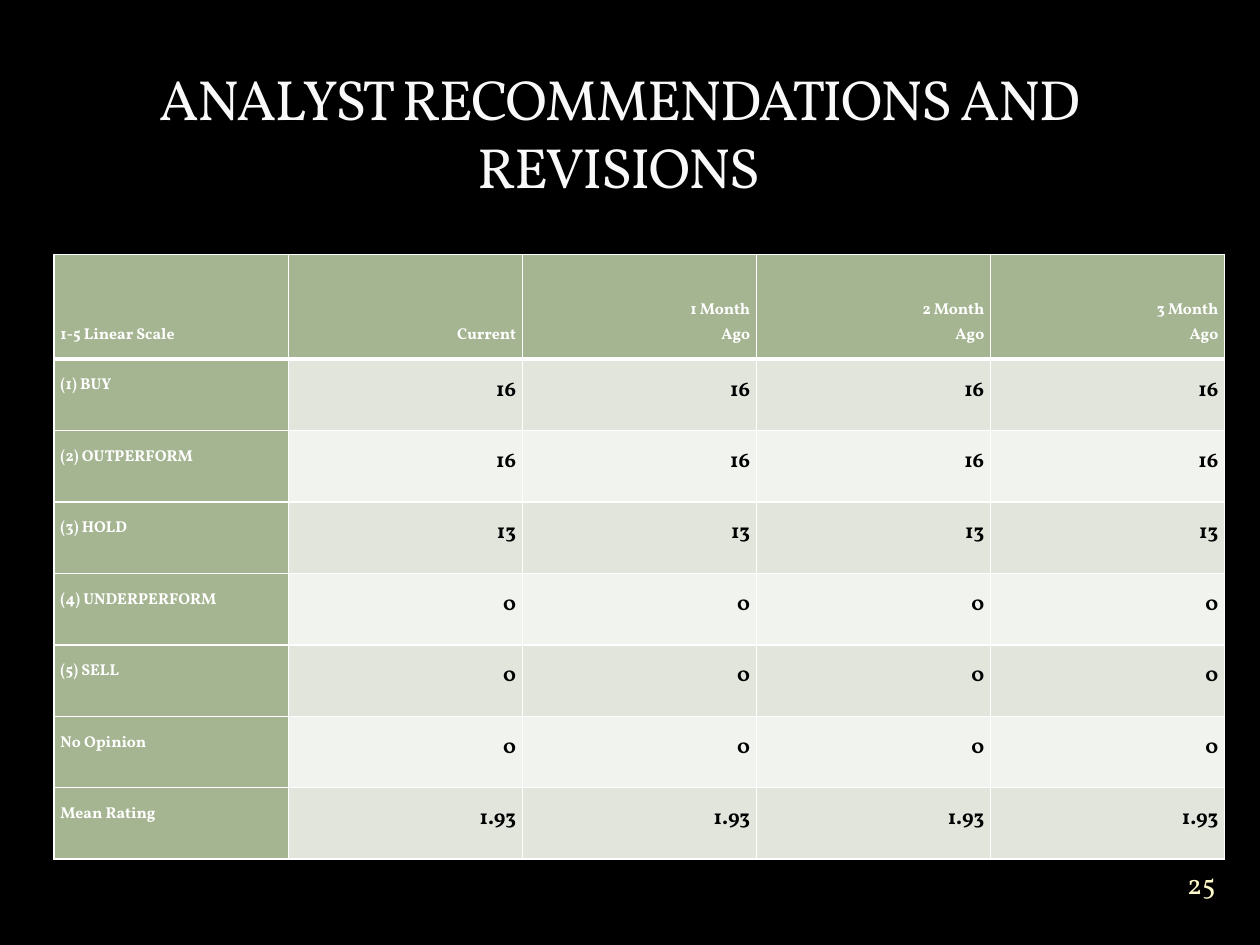
from dataclasses import dataclass

from lxml import etree
from pptx import Presentation
from pptx.dml.color import RGBColor
from pptx.enum.text import MSO_ANCHOR, PP_ALIGN
from pptx.oxml.ns import qn
from pptx.util import Inches, Pt

LEFT, CENTER, RIGHT = PP_ALIGN.LEFT, PP_ALIGN.CENTER, PP_ALIGN.RIGHT
TOP, MIDDLE, BOTTOM = MSO_ANCHOR.TOP, MSO_ANCHOR.MIDDLE, MSO_ANCHOR.BOTTOM
COLUMN_WIDTH, HEADER_HEIGHT, ROW_HEIGHT = 1.858, 0.83, 0.567
THIN, THICK = 1, 3


@dataclass(frozen=True)
class Theme:
    """Colours, font and type sizes of the slide."""
    font: str = "Vollkorn"
    background: str = "000000"
    title: str = "F9F9F9"
    number: str = "FEFAC9"
    label: str = "FFFFFF"
    value: str = "000000"
    border: str = "FFFFFF"
    header_fill: str = "A5B592"
    bands: tuple[str, str] = ("E1E5DC", "F0F3EE")
    title_size: float = 32.4
    number_size: float = 16
    label_size: float = 9
    value_size: float = 12


@dataclass(frozen=True)
class Rating:
    """One table row: a rating and its value in each period."""
    label: str
    value: str


@dataclass(frozen=True)
class Caption:
    """Text standing alone on the slide, with its box in inches."""
    text: str
    box: tuple[float, float, float, float]
    insets: tuple[float, float, float, float]
    anchor: MSO_ANCHOR
    size: float
    color: str
    spacing: int = 0


THEME = Theme()
PERIODS = ("Current", "1 Month\nAgo", "2 Month\nAgo", "3 Month\nAgo")
RATINGS = (
    Rating("(1)\u00a0BUY", "16"),
    Rating("(2)\u00a0OUTPERFORM", "16"),
    Rating("(3)\u00a0HOLD", "13"),
    Rating("(4)\u00a0UNDERPERFORM", "0"),
    Rating("(5)\u00a0SELL", "0"),
    Rating("No Opinion", "0"),
    Rating("Mean Rating", "1.93"),
)
CAPTIONS = (
    Caption("ANALYST RECOMMENDATIONS AND REVISIONS", (0.41, 1.01, 9, 1.17),
            (0.1, 0.05, 0.1, 0.59), BOTTOM, THEME.title_size, THEME.title, -100),
    Caption("25", (9.2, 6.76, 0.67, 0.5), (0, 0, 0, 0), MIDDLE,
            THEME.number_size, THEME.number),
)


def add_text(paragraph, text: str, size: float, color: str,
             bold: bool = False, spacing: int = 0) -> None:
    """Add a run for each line of the text, with breaks between them."""
    for index, line in enumerate(text.split("\n")):
        if index:
            paragraph.add_line_break()
        run = paragraph.add_run()
        run.text = line
        run.font.name, run.font.size, run.font.bold = THEME.font, Pt(size), bold
        run.font.color.rgb = RGBColor.from_string(color)
        if spacing:
            run.font._element.set("spc", str(spacing))


def add_caption(slide, caption: Caption) -> None:
    """Place a centred caption in its text box."""
    frame = slide.shapes.add_textbox(*map(Inches, caption.box)).text_frame
    frame.word_wrap = True
    frame.vertical_anchor = caption.anchor
    (frame.margin_left, frame.margin_top,
     frame.margin_right, frame.margin_bottom) = map(Inches, caption.insets)
    paragraph = frame.paragraphs[0]
    paragraph.alignment = CENTER
    add_text(paragraph, caption.text, caption.size, caption.color,
             spacing=caption.spacing)


def set_borders(cell, top: float, bottom: float) -> None:
    """Draw the four borders of a cell, widths in points."""
    properties = cell._tc.get_or_add_tcPr()
    widths = {"a:lnL": THIN, "a:lnR": THIN, "a:lnT": top, "a:lnB": bottom}
    for tag, width in widths.items():
        line = etree.SubElement(properties, qn(tag), w=str(Pt(width)))
        fill = etree.SubElement(line, qn("a:solidFill"))
        etree.SubElement(fill, qn("a:srgbClr"), val=THEME.border)


def fill_cell(cell, text: str, row: int, column: int) -> None:
    """Write and style a cell according to its row and column."""
    is_header, is_label = row == 0, row == 0 or column == 0
    set_borders(cell, THICK if row == 1 else THIN, THICK if is_header else THIN)
    cell.fill.solid()
    cell.fill.fore_color.rgb = RGBColor.from_string(
        THEME.header_fill if is_label else THEME.bands[(row - 1) % 2])
    cell.margin_left = cell.margin_right = Inches(0.05)
    cell.margin_top = cell.margin_bottom = Inches(0.1)
    cell.vertical_anchor = BOTTOM if is_header else TOP
    paragraph = cell.text_frame.paragraphs[0]
    paragraph.alignment = RIGHT if column else LEFT
    paragraph.line_spacing, paragraph.space_after = 1.15, Pt(7.5)
    add_text(paragraph, text,
             THEME.label_size if is_label else THEME.value_size,
             THEME.label if is_label else THEME.value, bold=True)


def add_ratings_table(slide) -> None:
    """Build the table of ratings by period."""
    rows = [("1-5 Linear Scale", *PERIODS)]
    rows += [(rating.label, *[rating.value] * len(PERIODS)) for rating in RATINGS]
    columns = len(rows[0])
    height = HEADER_HEIGHT + ROW_HEIGHT * len(RATINGS)
    table = slide.shapes.add_table(
        len(rows), columns, Inches(0.43), Inches(2.02),
        Inches(COLUMN_WIDTH * columns), Inches(height)).table
    table.first_col = True
    for column in table.columns:
        column.width = Inches(COLUMN_WIDTH)
    for row, texts in enumerate(rows):
        table.rows[row].height = Inches(ROW_HEIGHT if row else HEADER_HEIGHT)
        for column, text in enumerate(texts):
            fill_cell(table.cell(row, column), text, row, column)


def main() -> None:
    """Build and save the slide."""
    deck = Presentation()
    deck.slide_width, deck.slide_height = Inches(10), Inches(7.5)
    slide = deck.slides.add_slide(deck.slide_layouts[6])
    slide.background.fill.solid()
    slide.background.fill.fore_color.rgb = RGBColor.from_string(THEME.background)
    add_ratings_table(slide)
    for caption in CAPTIONS:
        add_caption(slide, caption)
    deck.save("out.pptx")


main()
